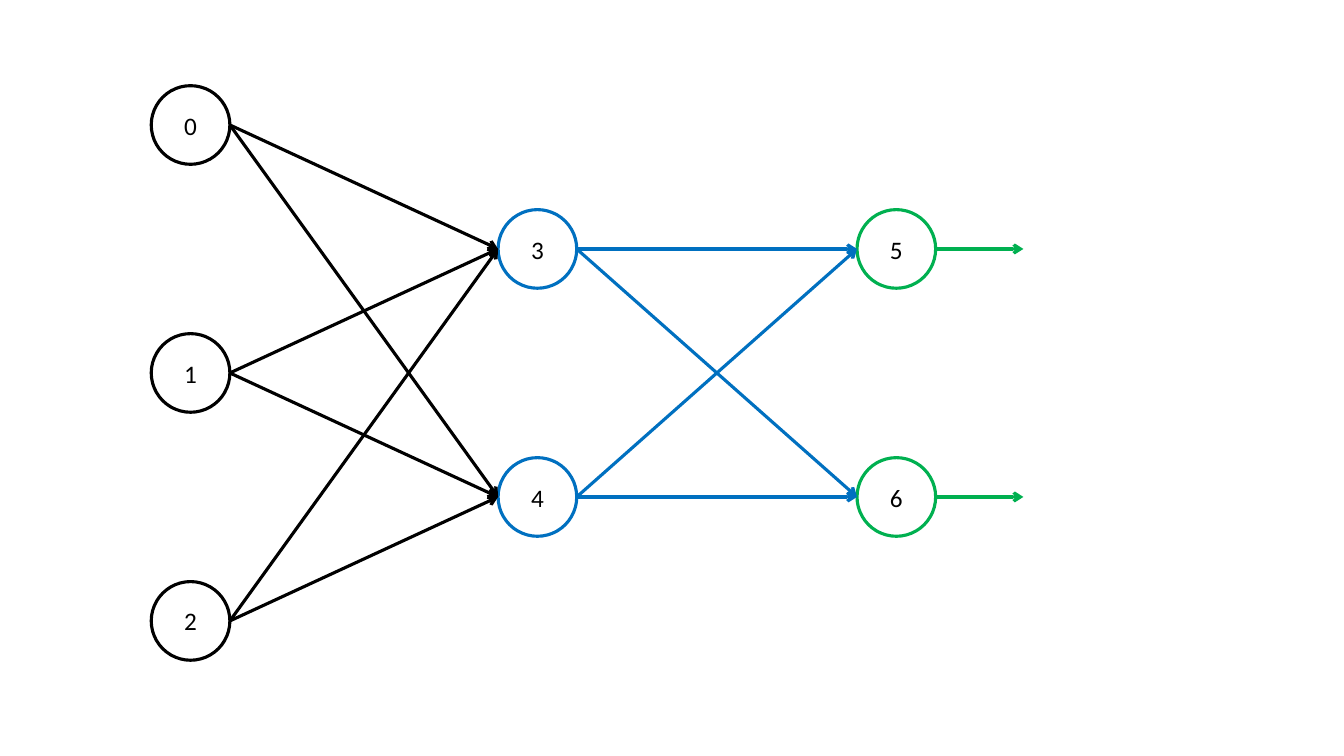
from dataclasses import dataclass
from itertools import pairwise, product

from lxml import etree
from pptx import Presentation
from pptx.dml.color import RGBColor
from pptx.enum.shapes import MSO_CONNECTOR, MSO_SHAPE
from pptx.enum.text import MSO_ANCHOR, PP_ALIGN
from pptx.oxml.ns import qn
from pptx.shapes.autoshape import Shape
from pptx.slide import Slide
from pptx.util import Inches, Pt

OVAL = MSO_SHAPE.OVAL
STRAIGHT = MSO_CONNECTOR.STRAIGHT
MIDDLE = MSO_ANCHOR.MIDDLE
CENTER = PP_ALIGN.CENTER


@dataclass(frozen=True)
class Theme:
    black: RGBColor = RGBColor(0x00, 0x00, 0x00)
    white: RGBColor = RGBColor(0xFF, 0xFF, 0xFF)
    blue: RGBColor = RGBColor(0x00, 0x70, 0xC0)
    green: RGBColor = RGBColor(0x00, 0xB0, 0x50)
    font: str = "Calibri"
    label_size: float = 18
    line_width: float = 2.25


@dataclass(frozen=True)
class Neuron:
    label: str
    left: float
    center_y: float
    color: RGBColor

    @property
    def right(self) -> float:
        return self.left + DIAMETER


@dataclass(frozen=True)
class Layer:
    labels: str
    left: float
    color: RGBColor

    def neurons(self) -> list[Neuron]:
        """Spread the neurons evenly about the middle of the network."""
        first_y = MIDDLE_Y - PITCH * (len(self.labels) - 1) / 2
        return [Neuron(label, self.left, first_y + PITCH * index, self.color)
                for index, label in enumerate(self.labels)]


THEME = Theme()
DIAMETER = 0.78
PITCH = 2.46
MIDDLE_Y = 3.7
OUTPUT_END = 10.15
LAYERS = (
    Layer("012", 1.5, THEME.black),
    Layer("34", 4.94, THEME.blue),
    Layer("56", 8.5, THEME.green),
)


def write_text(shape: Shape, text: str, *, size: float = THEME.label_size,
               color: RGBColor = THEME.black, align: PP_ALIGN = CENTER,
               anchor: MSO_ANCHOR = MIDDLE) -> None:
    shape.text_frame.vertical_anchor = anchor
    paragraph = shape.text_frame.paragraphs[0]
    paragraph.alignment = align
    run = paragraph.add_run()
    run.text = text
    run.font.name = THEME.font
    run.font.size = Pt(size)
    run.font.color.rgb = color


def draw_neuron(slide: Slide, neuron: Neuron) -> None:
    shape = slide.shapes.add_shape(
        OVAL, Inches(neuron.left), Inches(neuron.center_y - DIAMETER / 2),
        Inches(DIAMETER), Inches(DIAMETER))
    shape.shadow.inherit = False
    shape.fill.solid()
    shape.fill.fore_color.rgb = THEME.white
    shape.line.color.rgb = neuron.color
    shape.line.width = Pt(THEME.line_width)
    write_text(shape, neuron.label)


def draw_arrow(slide: Slide, source: Neuron, end_x: float, end_y: float) -> None:
    """Draw an arrow from the right edge of a neuron, in its color."""
    connector = slide.shapes.add_connector(
        STRAIGHT, Inches(source.right), Inches(source.center_y),
        Inches(end_x), Inches(end_y))
    connector.line.color.rgb = source.color
    connector.line.width = Pt(THEME.line_width)
    properties = connector._element.spPr
    etree.SubElement(properties.find(qn("a:ln")), qn("a:tailEnd"), type="arrow")
    etree.SubElement(properties, qn("a:effectLst"))


def main() -> None:
    presentation = Presentation()
    presentation.slide_width = Inches(13.33)
    presentation.slide_height = Inches(7.5)
    slide = presentation.slides.add_slide(presentation.slide_layouts[6])

    # Neurons
    network = [layer.neurons() for layer in LAYERS]
    for neurons in network:
        for neuron in neurons:
            draw_neuron(slide, neuron)

    # Full connections between neighbouring layers
    for sources, targets in pairwise(network):
        for source, target in product(sources, targets):
            draw_arrow(slide, source, target.left, target.center_y)

    # Network outputs
    for neuron in network[-1]:
        draw_arrow(slide, neuron, OUTPUT_END, neuron.center_y)

    presentation.save("out.pptx")


main()
